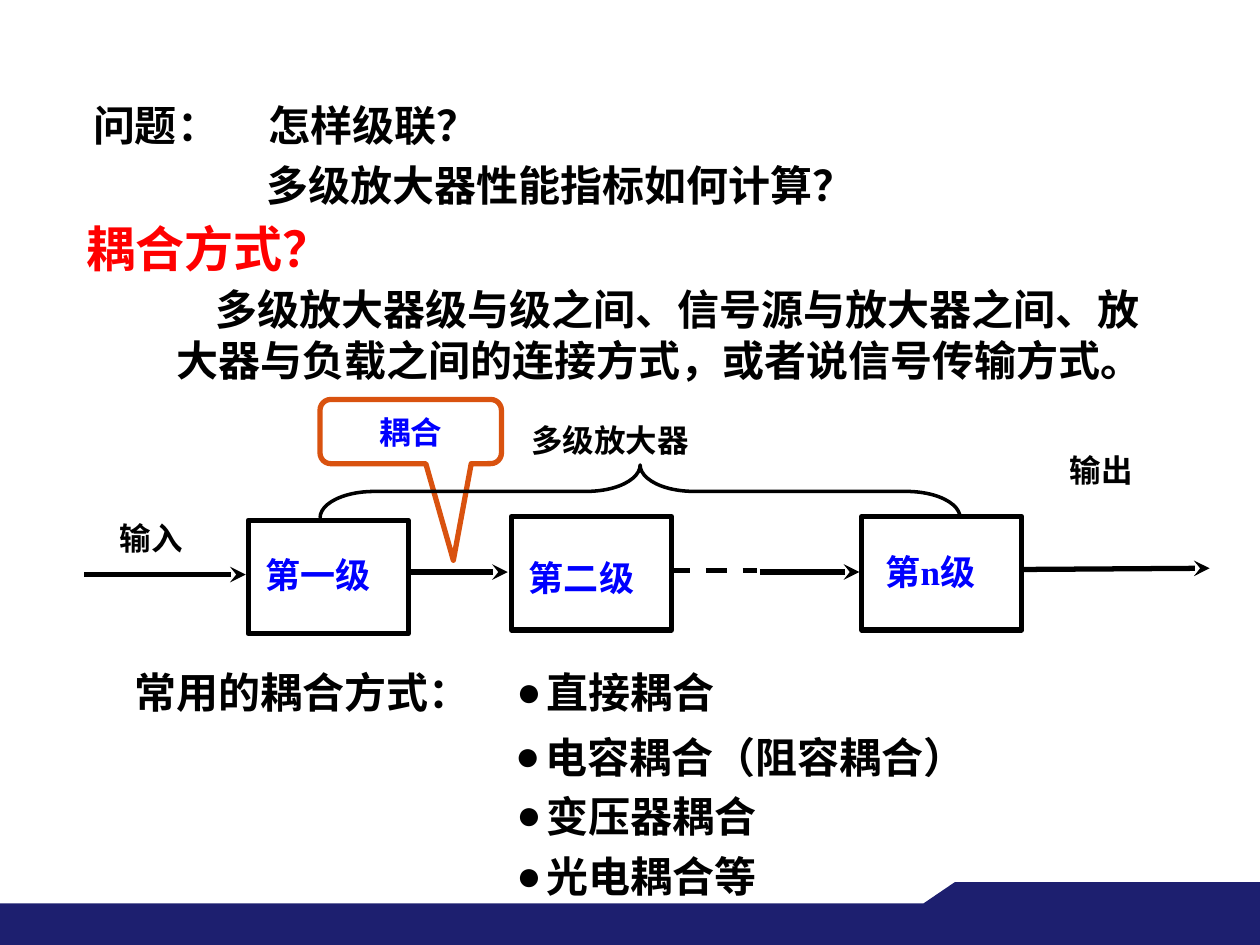
import pptx
import pptx.dml.color
import pptx.enum.dml
import pptx.enum.shapes
import pptx.enum.text
import pptx.oxml.ns
import pptx.util
from lxml import etree

Inches = pptx.util.Inches
Pt = pptx.util.Pt
RGBColor = pptx.dml.color.RGBColor
Shapes = pptx.enum.shapes.MSO_SHAPE
qn = pptx.oxml.ns.qn

BLACK = RGBColor(0, 0, 0)
BLUE = RGBColor(0, 0, 0xFF)
RED = RGBColor(0xFF, 0, 0)
ORANGE = RGBColor(0xD9, 0x52, 0x0F)
NAVY = RGBColor(0x1D, 0x1F, 0x6F)
CJK = "Noto Sans CJK SC"
SERIF = "Times New Roman"
SANS = "Arial"

deck = pptx.Presentation()
deck.slide_width, deck.slide_height = Inches(10), Inches(7.5)
page = deck.slides.add_slide(deck.slide_layouts[6])


def write(frame, spans, size, color):
    """Write bold (text, font) spans into the first paragraph of a frame."""
    para = frame.paragraphs[0]
    para.line_spacing = Pt(round(size * 1.21, 1))
    for text, font in spans:
        span = para.add_run()
        span.text = text
        span.font.name = font
        span.font.size = Pt(size)
        span.font.bold = True
        span.font.color.rgb = color
        etree.SubElement(span.font._element, qn("a:ea"), typeface=CJK)
    return para


def add_text(left, top, width, height, spans, size, color=BLACK):
    box = page.shapes.add_textbox(Inches(left), Inches(top), Inches(width), Inches(height))
    box.text_frame.word_wrap = True
    box.text_frame.margin_top = Inches(0.07)
    return write(box.text_frame, spans, size, color)


# Footer band with raised right end
band = page.shapes.add_shape(Shapes.RECTANGLE, 0, Inches(7.17), Inches(10), Inches(0.33))
outline = page.shapes.build_freeform(Inches(7.33), Inches(7.17))
outline.add_line_segments(
    [(Inches(x), Inches(y)) for x, y in [(7.58, 7), (10, 7), (10, 7.25), (7.33, 7.25)]])
for part in (band, outline.convert_to_shape()):
    part.shadow.inherit = False
    part.fill.solid()
    part.fill.fore_color.rgb = NAVY
    part.line.fill.background()

# Questions, heading and definition
add_text(0.64, 0.72, 1.37, 0.5, [("问题：", CJK)], 24)
add_text(2.03, 0.72, 2.03, 0.5, [("怎样级联？", CJK)], 24)
add_text(2.02, 1.19, 5.62, 0.5, [("多级放大器性能指标如何计算？", CJK)], 24)
add_text(0.59, 1.66, 3.3, 0.57, [("耦合方式？", SERIF)], 28, RED)
definition = add_text(1.3, 2.18, 8.11, 0.91, [(
    "多级放大器级与级之间、信号源与放大器之间、放大器与负载之间的连接方式，或者说信号传输方式。",
    CJK)], 24)
definition._p.get_or_add_pPr().set("indent", str(Inches(0.31)))

# Signal lines: start x, start y, end x, end y, dashed
signals = [
    (0.67, 4.56, 1.95, 4.56, False),
    (3.24, 4.54, 4.03, 4.54, False),
    (5.31, 4.53, 6.01, 4.53, True),
    (6.03, 4.54, 6.82, 4.54, False),
    (8.1, 4.52, 9.6, 4.51, False),
]
for x1, y1, x2, y2, dashed in signals:
    signal = page.shapes.add_connector(
        pptx.enum.shapes.MSO_CONNECTOR.STRAIGHT, Inches(x1), Inches(y1), Inches(x2), Inches(y2))
    signal.line.color.rgb = BLACK
    signal.line.width = Pt(3)
    if dashed:
        signal.line.dash_style = pptx.enum.dml.MSO_LINE.DASH
    else:
        etree.SubElement(signal.line._get_or_add_ln(), qn("a:tailEnd"), type="stealth")
    etree.SubElement(signal._element.spPr, qn("a:effectLst"))

# Amplifier stages: box position, label position, label
stages = [
    (1.97, 4.13, 2.01, 4.32, [("第一级", SERIF)]),
    (4.06, 4.1, 4.1, 4.34, [("第二级", SERIF)]),
    (6.84, 4.1, 6.93, 4.3, [("第", CJK), ("n", SERIF), ("级", CJK)]),
]
outlined = []
for left, top, label_left, label_top, spans in stages:
    stage = page.shapes.add_shape(
        Shapes.RECTANGLE, Inches(left), Inches(top), Inches(1.27), Inches(0.9))
    outlined.append((stage, BLACK, 3))
    add_text(label_left, label_top, 1.5, 0.43, spans, 20, BLUE)

# Coupling callout
callout = page.shapes.add_shape(
    Shapes.ROUNDED_RECTANGULAR_CALLOUT, Inches(2.54), Inches(3.17), Inches(1.44), Inches(0.51))
for index, value in enumerate((0.235, 2.005, 0.167)):
    callout.adjustments[index] = value
callout.text_frame.vertical_anchor = pptx.enum.text.MSO_ANCHOR.MIDDLE
callout.text_frame.word_wrap = False
coupling = write(callout.text_frame, [("耦合", SERIF)], 18, BLUE)
coupling.alignment = pptx.enum.text.PP_ALIGN.CENTER
outlined.append((callout, ORANGE, 3))

# Brace over all stages
brace = page.shapes.add_shape(
    Shapes.LEFT_BRACE, Inches(4.87), Inches(1.36), Inches(0.42), Inches(5.08))
brace.rotation = 90
brace.adjustments[0] = 1.017
outlined.append((brace, BLACK, 2))

for shape, color, weight in outlined:
    shape.shadow.inherit = False
    shape.fill.background()
    shape.line.color.rgb = color
    shape.line.width = Pt(weight)

# Diagram labels
add_text(4.12, 3.27, 2.63, 0.5, [("多级放大器", SERIF)], 18)
add_text(0.85, 4.05, 1.55, 0.5, [("输入", SANS)], 18)
add_text(8.39, 3.51, 1.61, 0.5, [("输出", SANS)], 18)

# Common coupling methods
add_text(0.97, 5.22, 3.76, 0.5, [("常用的耦合方式：", CJK)], 24)
methods = [
    (4, 5.22, 2.61, "直接耦合"),
    (3.99, 5.73, 4.45, "电容耦合（阻容耦合）"),
    (4, 6.2, 2.82, "变压器耦合"),
    (4, 6.68, 3.42, "光电耦合等"),
]
for left, top, width, method in methods:
    properties = add_text(left, top, width, 0.5, [(method, CJK)], 24)._p.get_or_add_pPr()
    properties.set("marL", str(Inches(0.24)))
    properties.set("indent", str(-Inches(0.24)))
    etree.SubElement(properties, qn("a:buFont"), typeface=SERIF)
    etree.SubElement(properties, qn("a:buChar"), char="●")

deck.save("out.pptx")
